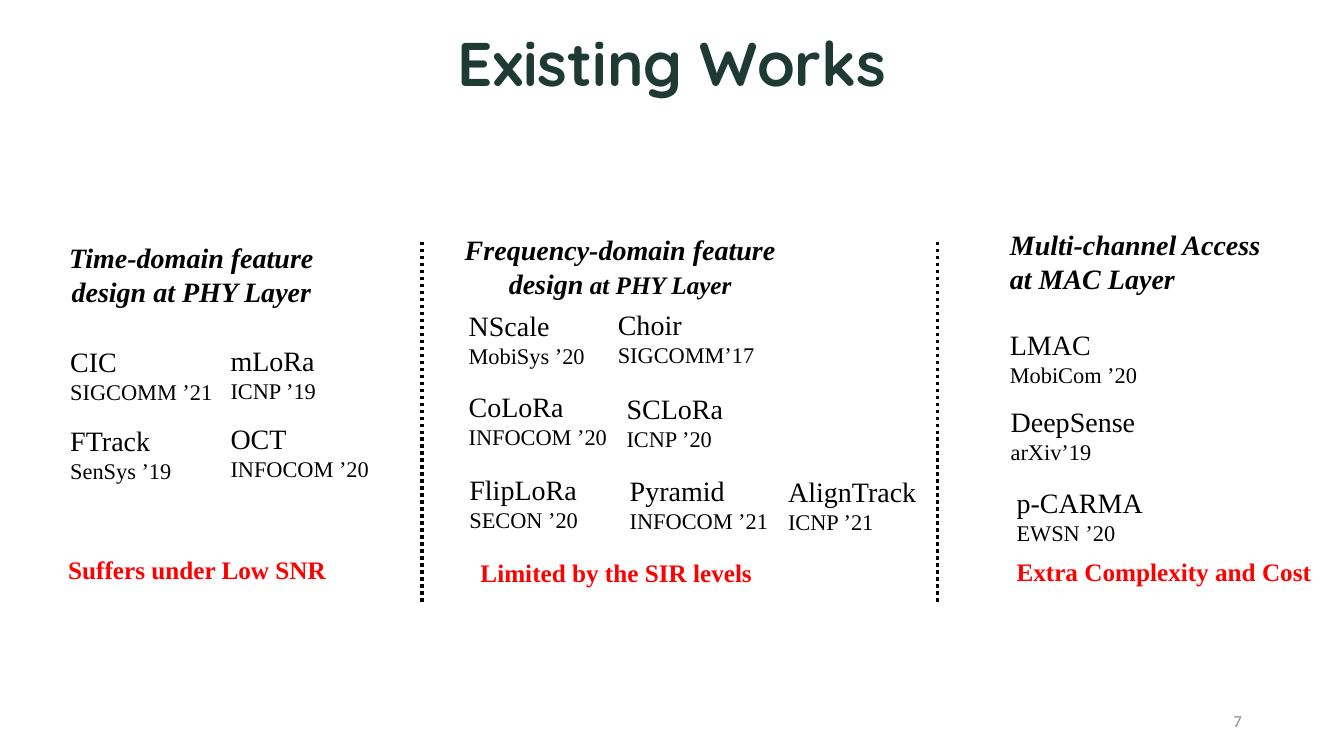
from lxml import etree
from pptx import Presentation
from pptx.dml.color import RGBColor
from pptx.enum import dml, shapes, text
from pptx.oxml.ns import qn
from pptx.util import Cm, Pt

BLACK = RGBColor(0x00, 0x00, 0x00)
RED = RGBColor(0xFF, 0x00, 0x00)
GREEN = RGBColor(0x1F, 0x3A, 0x33)
GRAY = RGBColor(0x8C, 0x8C, 0x8C)
SERIF = "Times New Roman"
LEFT, CENTER, RIGHT = text.PP_ALIGN.LEFT, text.PP_ALIGN.CENTER, text.PP_ALIGN.RIGHT
TOP, MIDDLE = text.MSO_ANCHOR.TOP, text.MSO_ANCHOR.MIDDLE

deck = Presentation()
deck.slide_width = Cm(33.87)
deck.slide_height = Cm(19.05)
page = deck.slides.add_slide(deck.slide_layouts[6])


def add_text(place, paragraphs, color=BLACK, font=SERIF, bold=False,
             italic=False, align=LEFT, anchor=TOP):
    box = page.shapes.add_textbox(*[Cm(length) for length in place])
    frame = box.text_frame
    frame.word_wrap = True
    frame.vertical_anchor = anchor
    for index, spans in enumerate(paragraphs):
        para = frame.add_paragraph() if index else frame.paragraphs[0]
        para.alignment = align
        for words, size in spans:
            span = para.add_run()
            span.text = words
            span.font.size = Pt(size)
            span.font.name = font
            span.font.bold = bold
            span.font.italic = italic
            span.font.color.rgb = color


add_text((0.58, 0.46, 32.72, 2.21), [[("Existing Works", 44)]],
         GREEN, "Quicksand", bold=True, align=CENTER, anchor=MIDDLE)
add_text((23.93, 17.65, 7.62, 1.02), [[("7", 12)]],
         GRAY, "Calibri", align=RIGHT, anchor=MIDDLE)

for divider_x in (10.64, 23.62):
    divider = page.shapes.add_connector(
        shapes.MSO_CONNECTOR.STRAIGHT,
        Cm(divider_x), Cm(15.16), Cm(divider_x), Cm(6.05))
    divider.line.color.rgb = BLACK
    divider.line.width = Pt(2.5)
    divider.line.dash_style = dml.MSO_LINE.ROUND_DOT
    etree.SubElement(divider.element.spPr, qn("a:effectLst"))

headings = [
    ((1.04, 5.94, 7.57, 1.96), CENTER,
     [("Time-domain feature design at PHY Layer", 20)]),
    ((10.92, 5.74, 9.42, 1.96), CENTER,
     [("Frequency-domain feature design", 20), (" at PHY Layer", 18)]),
    ((25.2, 5.61, 7.32, 1.96), LEFT,
     [("Multi-channel Access at MAC Layer", 20)]),
]
for place, align, spans in headings:
    add_text(place, [spans], bold=True, italic=True, align=align)

works = [
    (1.52, 8.56, 4.8, "CIC", "SIGCOMM ’21"),
    (5.56, 8.53, 2.97, "mLoRa", "ICNP ’19"),
    (1.52, 10.54, 3.86, "FTrack", "SenSys ’19"),
    (5.56, 10.49, 6.32, "OCT", "INFOCOM ’20"),
    (11.56, 7.65, 4.8, "NScale", "MobiSys ’20"),
    (15.32, 7.62, 4.8, "Choir", "SIGCOMM’17"),
    (11.56, 9.68, 6.32, "CoLoRa", "INFOCOM ’20"),
    (15.54, 9.73, 4.8, "SCLoRa", "ICNP ’20"),
    (11.58, 11.79, 4.8, "FlipLoRa", "SECON ’20"),
    (15.62, 11.81, 4.8, "Pyramid", "INFOCOM ’21"),
    (19.61, 11.84, 4.8, "AlignTrack", "ICNP ’21"),
    (25.2, 8.13, 4.8, "LMAC", "MobiCom ’20"),
    (25.22, 10.08, 4.8, "DeepSense", "arXiv’19"),
    (25.37, 12.12, 4.8, "p-CARMA", "EWSN ’20"),
]
for left, top, width, name, venue in works:
    add_text((left, top, width, 1.8), [[(name, 20)], [(venue, 16)]])

drawbacks = [
    (1.47, 13.84, 7.57, "Suffers under Low SNR"),
    (11.86, 13.92, 11.15, "Limited by the SIR levels"),
    (25.37, 13.89, 8.2, "Extra Complexity and Cost"),
]
for left, top, width, words in drawbacks:
    add_text((left, top, width, 1.02), [[(words, 18)]], RED, bold=True)

deck.save("out.pptx")
